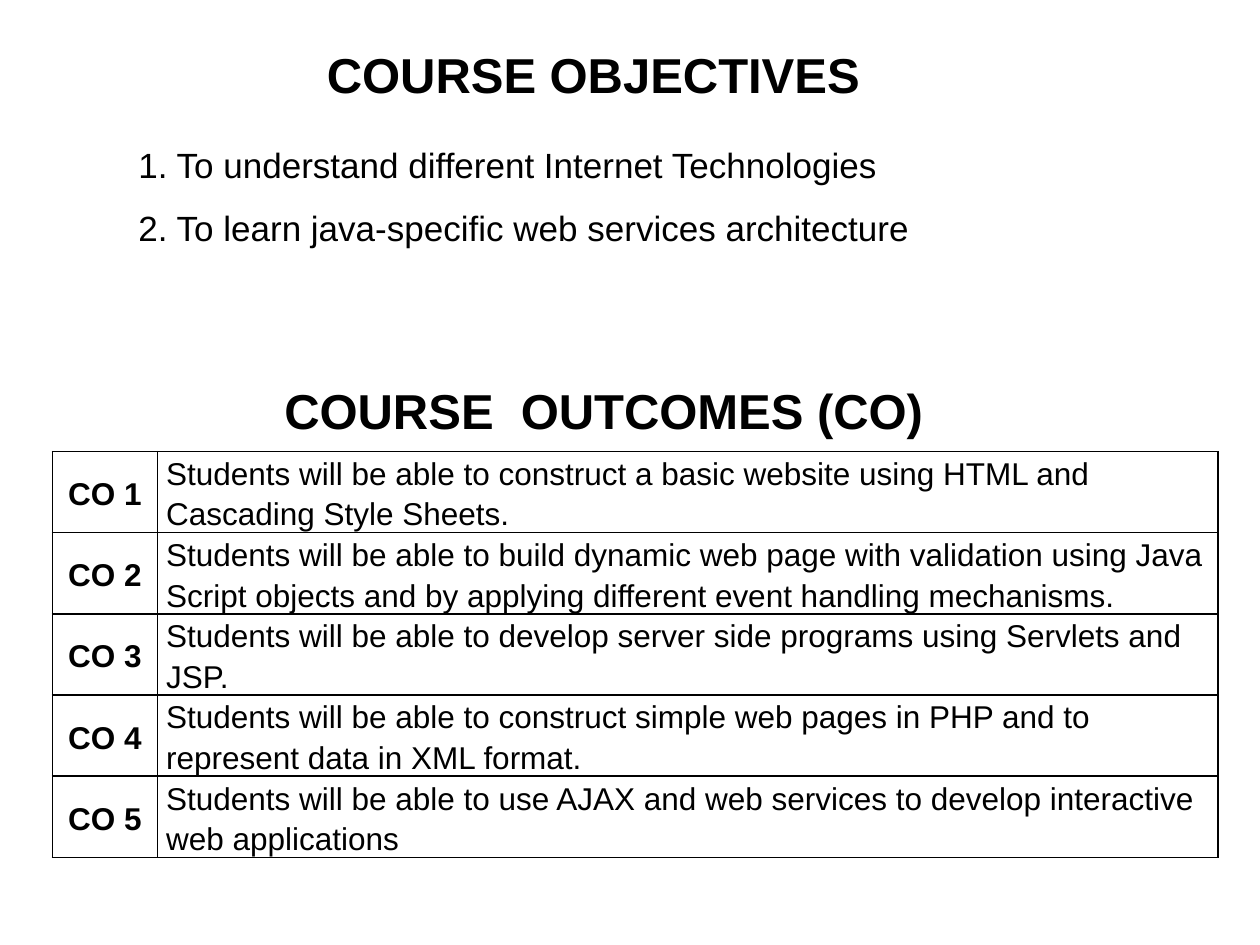
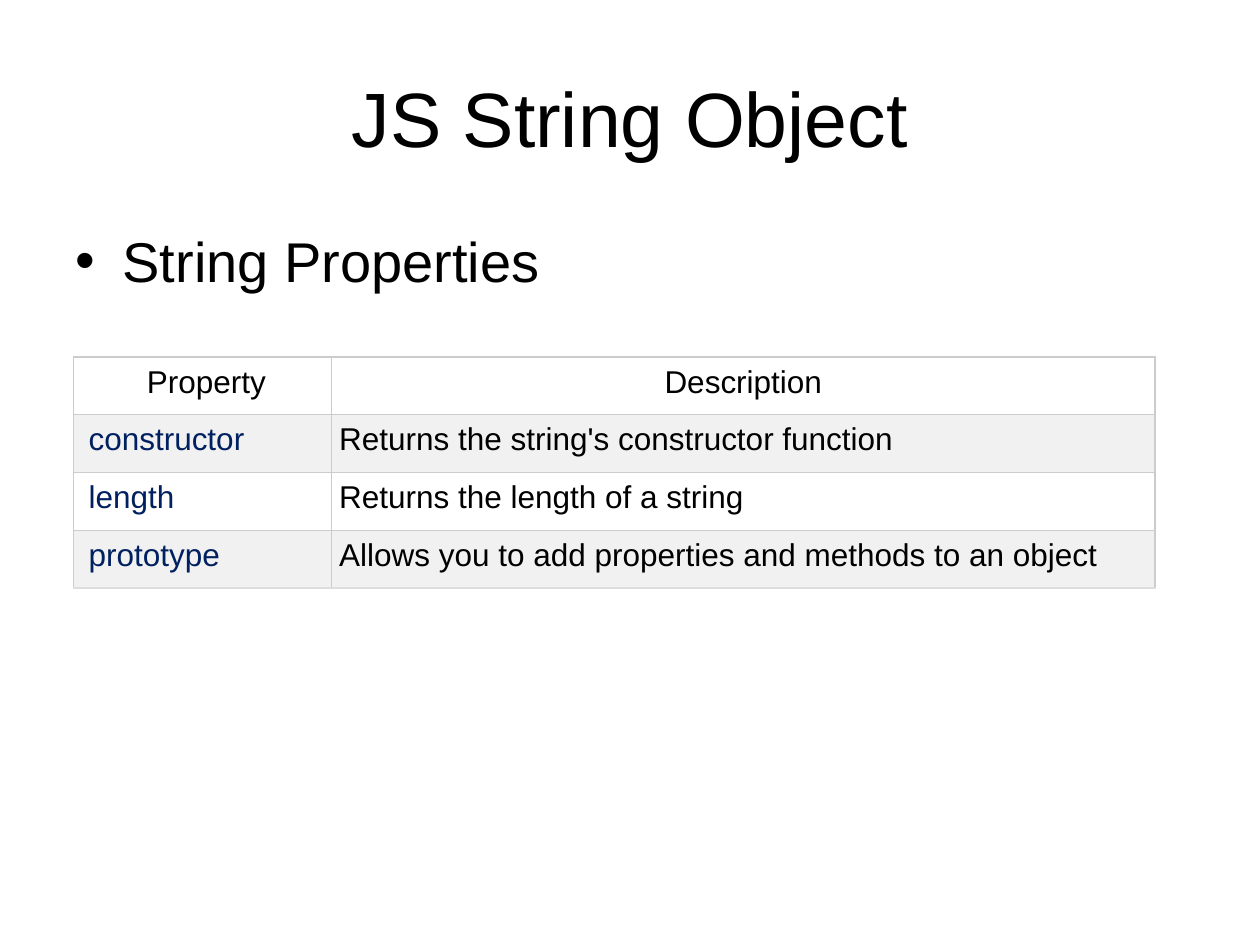
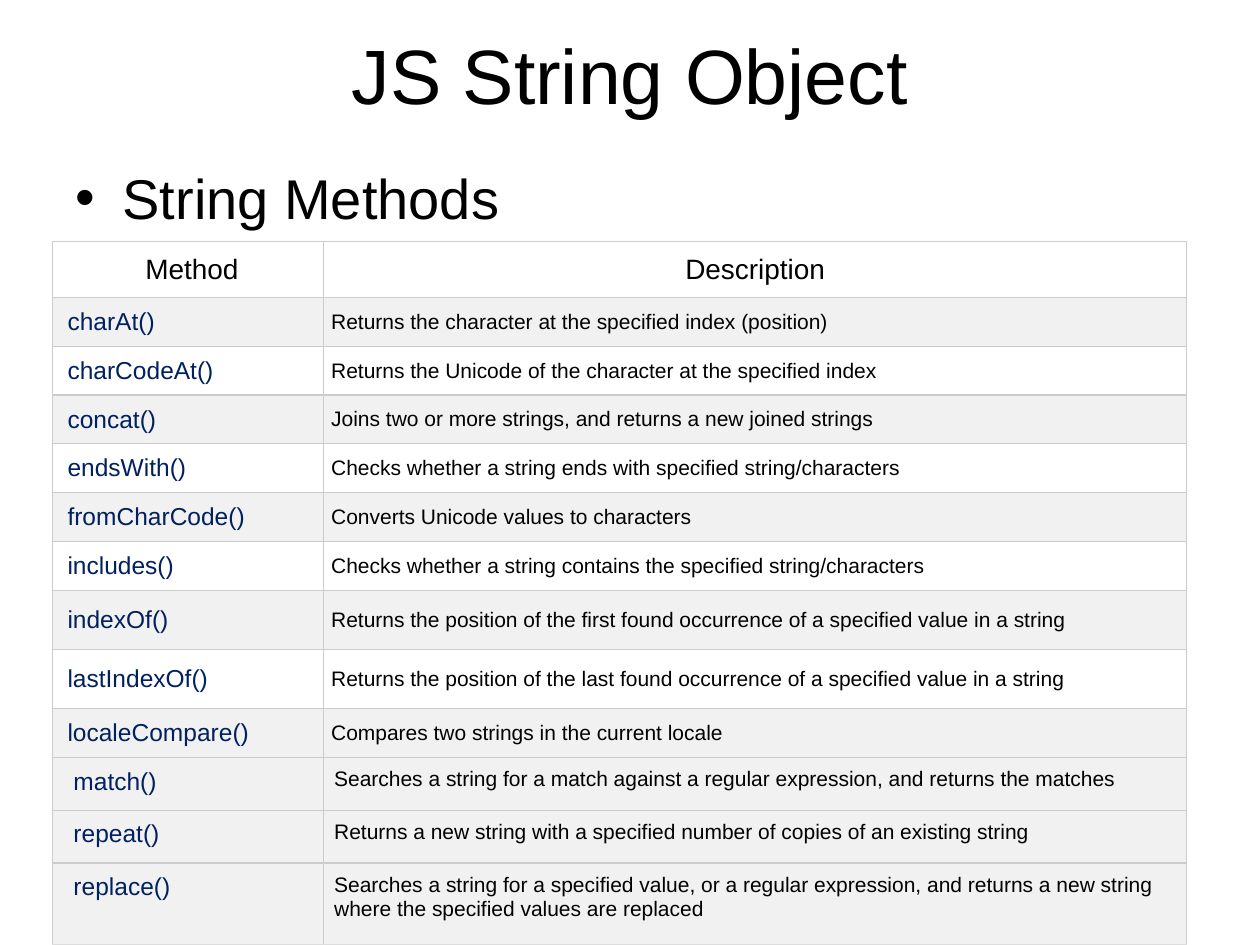
import pptx
import pptx.dml.color
import pptx.enum.text
import pptx.oxml
import pptx.oxml.ns
import pptx.util
from lxml import etree

Pt = pptx.util.Pt
RGBColor = pptx.dml.color.RGBColor
ALIGN = pptx.enum.text.PP_ALIGN
ANCHOR = pptx.enum.text.MSO_ANCHOR
AUTO_SIZE = pptx.enum.text.MSO_AUTO_SIZE

BLACK = RGBColor(0x00, 0x00, 0x00)
WHITE = RGBColor(0xFF, 0xFF, 0xFF)
NAVY = RGBColor(0x00, 0x20, 0x60)
BAND = RGBColor(0xF1, 0xF1, 0xF1)
RULE = RGBColor(0xCC, 0xCC, 0xCC)
BOTTOM_RULE = RGBColor(0xDD, 0xDD, 0xDD)
FONT = "Arial"
TITLE_ONLY = 5

OUTCOMES = [
    "Students will be able to construct a basic website using HTML and Cascading Style Sheets.",
    "Students will be able to build dynamic web page with validation using Java Script objects "
    "and by applying different event handling mechanisms.",
    "Students will be able to develop server side programs using Servlets and JSP.",
    "Students will be able to construct simple web pages in PHP and to represent data in XML format.",
    "Students will be able to use AJAX and web services to develop interactive web applications",
]
PROPERTIES = [
    ("Property", "Description"),
    ("constructor", "Returns the string's constructor function"),
    ("length", "Returns the length of a string"),
    ("prototype", "Allows you to add properties and methods to an object"),
]
METHODS = [
    ("Method", "Description"),
    ("charAt()", "Returns the character at the specified index (position)"),
    ("charCodeAt()", "Returns the Unicode of the character at the specified index"),
    ("concat()", "Joins two or more strings, and returns a new joined strings"),
    ("endsWith()", "Checks whether a string ends with specified string/characters"),
    ("fromCharCode()", "Converts Unicode values to characters"),
    ("includes()", "Checks whether a string contains the specified string/characters"),
    ("indexOf()", "Returns the position of the first found occurrence of a specified value in a string"),
    ("lastIndexOf()", "Returns the position of the last found occurrence of a specified value in a string"),
    ("localeCompare()", "Compares two strings in the current locale"),
    ("match()", "Searches a string for a match against a regular expression, and returns the matches"),
    ("repeat()", "Returns a new string with a specified number of copies of an existing string"),
    ("replace()", "Searches a string for a specified value, or a regular expression, "
                  "and returns a new string where the specified values are replaced"),
]
FIRST_LOOSE_METHOD = 10


def assign(target, values):
    for name, value in values.items():
        setattr(target, name, value)


class Deck:
    def __init__(self):
        self.presentation = pptx.Presentation()
        assign(self.presentation, {"slide_width": Pt(720), "slide_height": Pt(540)})
        self.slide = None

    def new_slide(self):
        layout = self.presentation.slide_layouts[TITLE_ONLY]
        self.slide = self.presentation.slides.add_slide(layout)

    def fill_frame(self, frame, lines, size, color=BLACK, bold=False, **paragraph_format):
        for index, line in enumerate(lines):
            paragraph = frame.add_paragraph() if index else frame.paragraphs[0]
            assign(paragraph, paragraph_format)
            run = paragraph.add_run()
            run.text = line
            assign(run.font, {"name": FONT, "size": Pt(size), "bold": bold})
            run.font.color.rgb = color

    def title(self, text, box, size=44, bold=False):
        heading = self.slide.shapes.title
        assign(heading, dict(zip(("left", "top", "width", "height"), map(Pt, box))))
        assign(heading.text_frame, {"auto_size": AUTO_SIZE.NONE, "vertical_anchor": ANCHOR.MIDDLE})
        self.fill_frame(heading.text_frame, [text], size, bold=bold, alignment=ALIGN.CENTER)

    def text(self, lines, box, size, anchor=ANCHOR.MIDDLE, **text_format):
        frame = self.slide.shapes.add_textbox(*map(Pt, box)).text_frame
        assign(frame, {"word_wrap": True, "vertical_anchor": anchor})
        self.fill_frame(frame, lines, size, **text_format)
        return frame

    def bullet(self, text, top):
        frame = self.text([text], (36, top, 648, 356.4), 32, ANCHOR.TOP, space_before=Pt(6.4))
        properties = frame.paragraphs[0]._p.get_or_add_pPr()
        properties.set("marL", str(Pt(27)))
        properties.set("indent", str(Pt(-27)))
        for tag, name, value in (("a:buFont", "typeface", FONT), ("a:buChar", "char", "•")):
            etree.SubElement(properties, pptx.oxml.ns.qn(tag)).set(name, value)

    def border(self, cell, color, weight, bottom):
        properties = cell._tc.get_or_add_tcPr()
        for side in "LRTB":
            line = etree.SubElement(properties, pptx.oxml.ns.qn("a:ln" + side), w=str(Pt(weight)))
            fill = etree.SubElement(line, pptx.oxml.ns.qn("a:solidFill"))
            shade = bottom if side == "B" else color
            etree.SubElement(fill, pptx.oxml.ns.qn("a:srgbClr"), val=str(shade))

    def table(self, rows, corner, widths, heights, cell_style, rule, weight, bottom_rule):
        """cell_style(row, column) gives margins (left, top, right, bottom), anchor, fill and text format."""
        size = map(Pt, (*corner, sum(widths), sum(heights)))
        grid = self.slide.shapes.add_table(len(rows), len(widths), *size).table
        assign(grid, {"first_row": False, "horz_banding": False})
        for column, width in zip(grid.columns, widths):
            column.width = Pt(width)
        sides = ("margin_left", "margin_top", "margin_right", "margin_bottom")
        for r, (row, height) in enumerate(zip(rows, heights)):
            grid.rows[r].height = Pt(height)
            for c, text in enumerate(row):
                cell = grid.cell(r, c)
                margins, anchor, fill, text_format = cell_style(r, c)
                assign(cell, dict(zip(sides, map(Pt, margins)), vertical_anchor=anchor))
                self.border(cell, rule, weight, bottom_rule if r == len(rows) - 1 else rule)
                if fill is None:
                    cell.fill.background()
                else:
                    cell.fill.solid()
                    cell.fill.fore_color.rgb = fill
                self.fill_frame(cell.text_frame, [text], **text_format)

    def reference_table(self, rows, corner, widths, heights, sizes, anchor, first_loose=None):
        """Banded table of names; sizes are for header, name and description.

        Rows from first_loose on have wider margins, top text and no alternation.
        """
        header_size, *body_sizes = sizes

        def cell_style(r, c):
            loose = first_loose is not None and r >= first_loose
            margin = 6 if loose else 4.3
            margins = (margin if c else 2 * margin, margin, margin, margin)
            fill = BAND if loose or r % 2 else WHITE
            if r == 0:
                text_format = {"size": header_size, "alignment": ALIGN.CENTER}
            else:
                text_format = {"size": body_sizes[c], "color": BLACK if c else NAVY}
            return margins, ANCHOR.TOP if loose else anchor, fill, text_format

        self.table(rows, corner, widths, heights, cell_style, RULE, 0.75, BOTTOM_RULE)


def outcome_style(row, column):
    text_format = {
        "size": 18,
        "bold": column == 0,
        "alignment": ALIGN.LEFT if column else ALIGN.CENTER,
        "line_spacing": 1.15,
    }
    return (5, 0, 5, 0), ANCHOR.MIDDLE, None, text_format


def course_slide(deck):
    deck.new_slide()
    deck.title("COURSE  OUTCOMES (CO)", (66, 216, 558, 36), 28, bold=True)
    outcomes = [(f"CO {number}", text) for number, text in enumerate(OUTCOMES, 1)]
    deck.table(outcomes, (30, 258), (60, 606), [46.4] * len(outcomes),
               outcome_style, BLACK, 1, BLACK)
    deck.text(["COURSE OBJECTIVES"], (60, 24, 558, 36), 28, bold=True, alignment=ALIGN.CENTER)
    deck.text(["1. To understand different Internet Technologies",
               "2. To learn java-specific web services architecture"],
              (72, 66, 576, 80), 20, line_spacing=1.5)


def properties_slide(deck):
    deck.new_slide()
    deck.title("JS String Object", (36, 21.6, 648, 90))
    deck.bullet("String Properties", 126)
    deck.reference_table(PROPERTIES, (42, 204), (147.5, 470.5), [33] * len(PROPERTIES),
                         (18, 18, 18), ANCHOR.TOP)


def methods_slide(deck):
    deck.new_slide()
    deck.title("JS String Object", (36, 0, 648, 84))
    deck.bullet("String Methods", 90)
    heights = [32] + [27.9] * 6 + [33.8] * 2 + [27.9] + [30.2] * 2 + [46.4]
    deck.reference_table(METHODS, (30, 138), (155, 493), heights,
                         (16, 14, 12), ANCHOR.MIDDLE, FIRST_LOOSE_METHOD)


def main():
    deck = Deck()
    course_slide(deck)
    properties_slide(deck)
    methods_slide(deck)
    deck.presentation.save("out.pptx")


if __name__ == "__main__":
    main()
